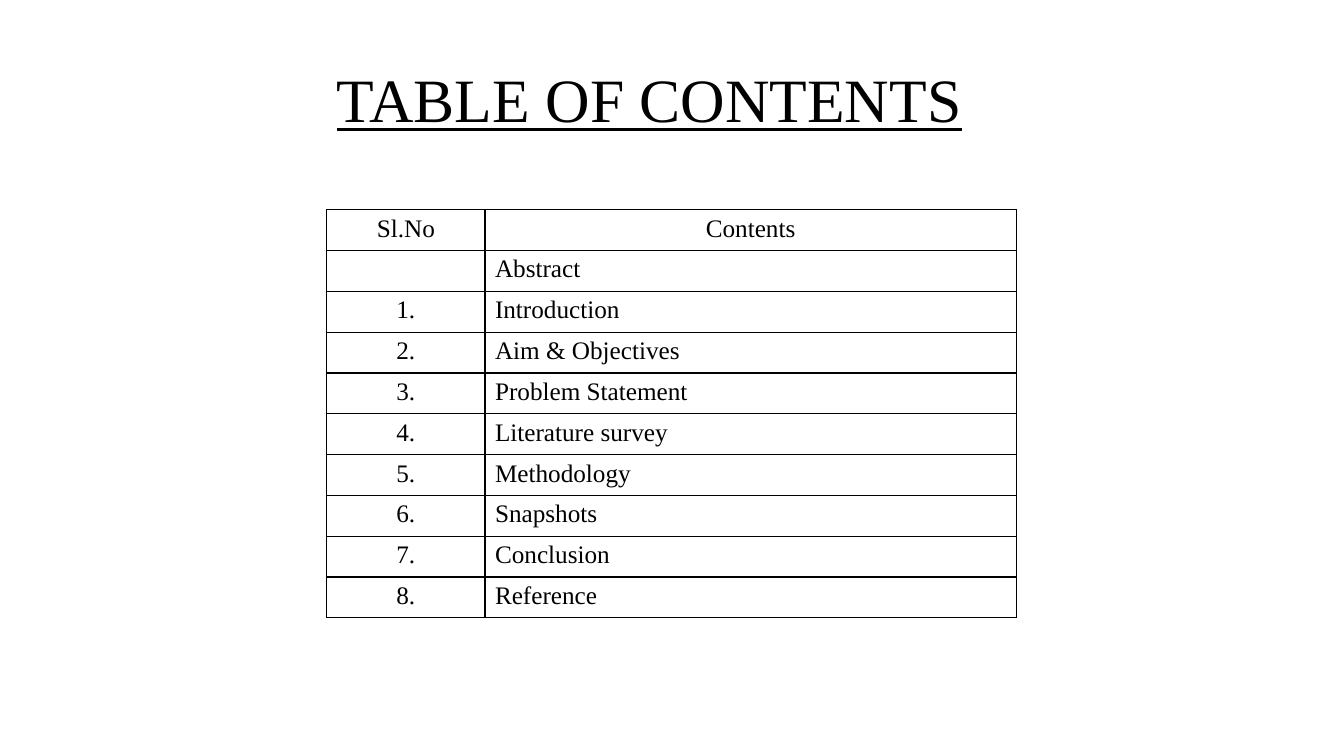
from lxml import etree
from pptx import Presentation
from pptx import util as u
from pptx.dml.color import RGBColor
from pptx.enum import text
from pptx.oxml import ns

BLACK = RGBColor(0, 0, 0)
LEFT, WIDTH = 3.24, 6.84
NUM_W = 1.57
ROW_H = 0.405
TOP = 2.08
HEAD = [("Sl.No", "Contents"), ("", "Abstract")]
TOPICS = ["Introduction", "Aim & Objectives", "Problem Statement",
          "Literature survey", "Methodology", "Snapshots", "Conclusion",
          "Reference"]


class Deck:
    font = "Times New Roman"

    def __init__(self):
        self.prs = Presentation()
        self.prs.slide_width = u.Inches(13.33)
        self.prs.slide_height = u.Inches(7.5)
        self.slide = self.prs.slides.add_slide(self.prs.slide_layouts[5])

    def add_run(self, para, words, size, align, line=False):
        para.alignment = align
        run = para.add_run()
        run.text = words
        run.font.name = self.font
        run.font.size = u.Pt(size)
        run.font.bold = False
        run.font.color.rgb = BLACK
        run.font.underline = line

    def title(self, words):
        box = self.slide.shapes.title
        box.left, box.top = u.Inches(LEFT), u.Inches(0.51)
        box.width, box.height = u.Inches(WIDTH), u.Inches(0.84)
        frame = box.text_frame
        frame.auto_size = text.MSO_AUTO_SIZE.NONE
        frame.vertical_anchor = text.MSO_ANCHOR.BOTTOM
        frame.margin_bottom = u.Inches(0.01)
        self.add_run(frame.paragraphs[0], words, 44, text.PP_ALIGN.LEFT, True)

    def border(self, cell):
        """Draw a thin line on all four sides of the cell."""
        props = cell._tc.get_or_add_tcPr()
        for i, side in enumerate(("lnL", "lnR", "lnT", "lnB")):
            line = etree.Element(ns.qn("a:" + side), w=str(u.Pt(1)))
            fill = etree.SubElement(line, ns.qn("a:solidFill"))
            etree.SubElement(fill, ns.qn("a:srgbClr"), val=str(BLACK))
            props.insert(i, line)

    def table(self, top, rows, head=False):
        frame = self.slide.shapes.add_table(
            len(rows), 2, u.Inches(LEFT), u.Inches(top),
            u.Inches(WIDTH), u.Inches(ROW_H * len(rows)))
        grid = frame.table
        grid.first_row = head
        grid.horz_banding = False
        grid.columns[0].width = u.Inches(NUM_W)
        grid.columns[1].width = u.Inches(WIDTH - NUM_W)
        for r, row in enumerate(rows):
            grid.rows[r].height = u.Inches(ROW_H)
            for c, words in enumerate(row):
                cell = grid.cell(r, c)
                cell.fill.background()
                self.border(cell)
                if words:
                    mid = c == 0 or (head and r == 0)
                    align = text.PP_ALIGN.CENTER if mid else text.PP_ALIGN.LEFT
                    self.add_run(cell.text_frame.paragraphs[0], words, 18, align)


def main():
    deck = Deck()
    deck.title("TABLE OF CONTENTS")
    rows = HEAD + [(f"{n}.", name) for n, name in enumerate(TOPICS, 1)]
    main_rows, last = rows[:-1], rows[-1:]
    deck.table(TOP, main_rows, head=True)
    deck.table(TOP + ROW_H * len(main_rows), last)
    deck.prs.save("out.pptx")


if __name__ == "__main__":
    main()
